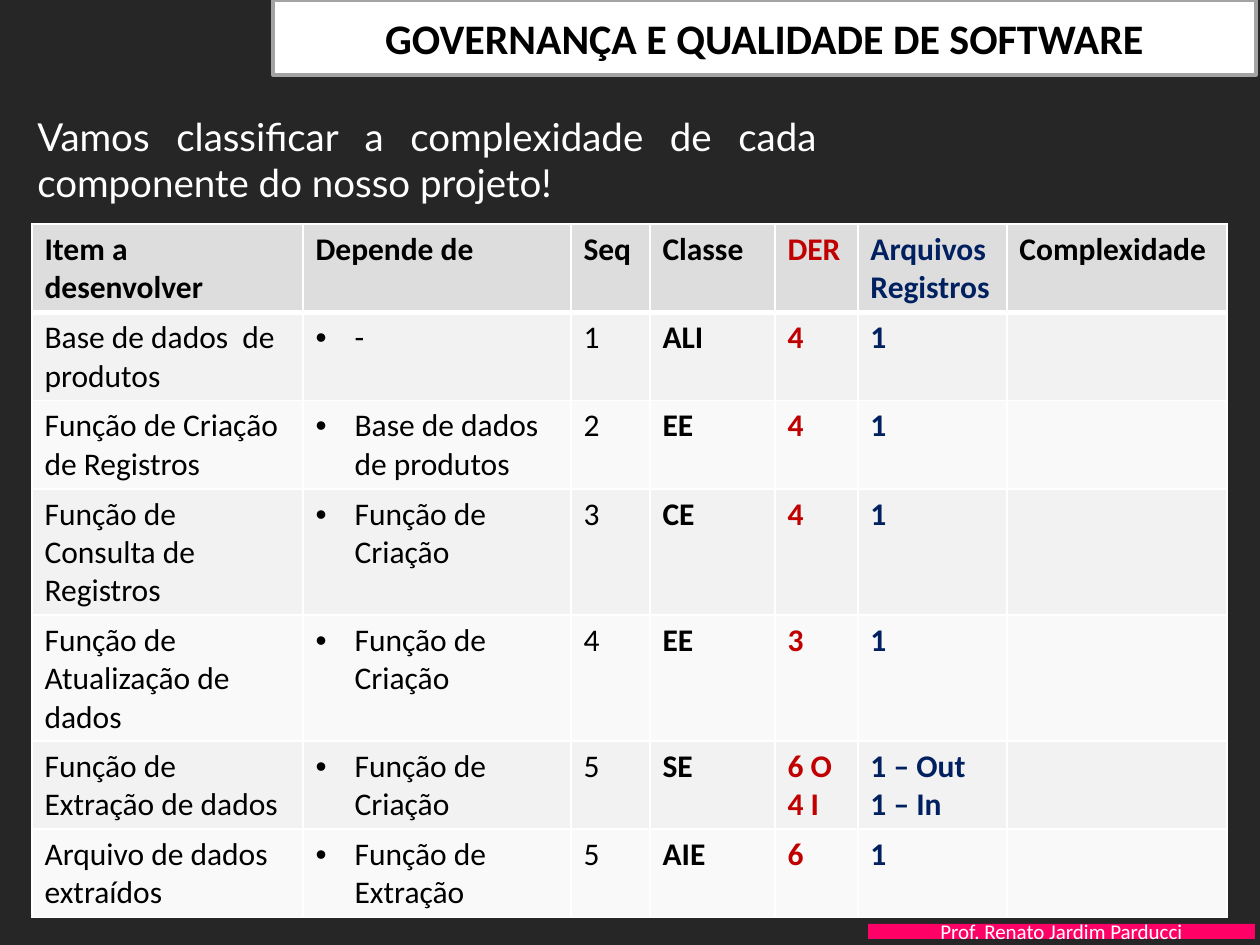
from lxml import etree
from pptx import Presentation
from pptx.dml.color import RGBColor
from pptx.enum.shapes import MSO_SHAPE
from pptx.enum.text import MSO_ANCHOR, PP_ALIGN
from pptx.oxml.ns import qn
from pptx.util import Pt

RECT = MSO_SHAPE.RECTANGLE
MIDDLE = MSO_ANCHOR.MIDDLE
LEFT, CENTER, JUSTIFY = PP_ALIGN.LEFT, PP_ALIGN.CENTER, PP_ALIGN.JUSTIFY

COLORS = {
    "bg": "262626", "white": "FFFFFF", "black": "000000", "gray": "A3A3A3",
    "pink": "FF0066", "red": "C00000", "navy": "002060",
    "header": "DDDDDD", "odd": "F2F2F2", "even": "F9F9F9",
}

COL_WIDTHS = [271, 268, 79, 125, 83, 149, 220]
ROW_HEIGHTS = [88, 88, 88, 126, 126, 88, 88]
COL_COLORS = ["black"] * 4 + ["red", "navy", "black"]
BOLD_COLS = {3, 4, 5}
BULLET_COL = 1
ROWS = [
    ["Item a desenvolver", "Depende de", "Seq", "Classe", "DER",
     "Arquivos\nRegistros", "Complexidade"],
    ["Base de dados  de produtos", "-", "1", "ALI", "4", "1", ""],
    ["Função de Criação de Registros", "Base de dados de produtos", "2", "EE", "4", "1", ""],
    ["Função de Consulta de Registros", "Função de Criação", "3", "CE", "4", "1", ""],
    ["Função de Atualização de dados", "Função de Criação", "4", "EE", "3", "1", ""],
    ["Função de Extração de dados", "Função de Criação", "5", "SE", "6 O\n4 I",
     "1 – Out\n1 – In", ""],
    ["Arquivo de dados extraídos", "Função de Extração", "5", "AIE", "6", "1", ""],
]


def px(n):
    return round(n * 914400 / 126)


def rgb(name):
    return RGBColor.from_string(COLORS[name])


def write(tf, text, size=18, color="black", bold=False, font="Calibri",
          align=LEFT, bullet=False):
    for i, line in enumerate(text.split("\n")):
        p = tf.add_paragraph() if i else tf.paragraphs[0]
        p.alignment = align
        if bullet:
            pPr = p._p.get_or_add_pPr()
            pPr.set("marL", str(px(39)))
            pPr.set("indent", str(-px(39)))
            etree.SubElement(pPr, qn("a:buFont"), typeface="Arial")
            etree.SubElement(pPr, qn("a:buChar"), char="•")
        r = p.add_run()
        r.text = line
        r.font.size = Pt(size)
        r.font.bold = bold
        r.font.name = font
        r.font.color.rgb = rgb(color)


def set_border(cell, side, width):
    ln = etree.SubElement(cell._tc.get_or_add_tcPr(), qn("a:ln" + side), w=str(Pt(width)))
    fill = etree.SubElement(ln, qn("a:solidFill"))
    etree.SubElement(fill, qn("a:srgbClr"), val=COLORS["white"])


class Deck:
    def __init__(self, prs):
        self.s = prs.slides.add_slide(prs.slide_layouts[6])
        self.s.background.fill.solid()
        self.s.background.fill.fore_color.rgb = rgb("bg")

    def box(self, x, y, w, h, text, fill, line=None, **fmt):
        sp = self.s.shapes.add_shape(RECT, px(x), px(y), px(w), px(h))
        sp.shadow.inherit = False
        sp.fill.solid()
        sp.fill.fore_color.rgb = rgb(fill)
        if line:
            sp.line.color.rgb = rgb(line)
            sp.line.width = Pt(2)
        else:
            sp.line.fill.background()
        sp.text_frame.vertical_anchor = MIDDLE
        write(sp.text_frame, text, align=CENTER, **fmt)

    def text(self, x, y, w, h, text, **fmt):
        tf = self.s.shapes.add_textbox(px(x), px(y), px(w), px(h)).text_frame
        tf.word_wrap = True
        tf.vertical_anchor = MIDDLE
        tf.margin_bottom = 0
        write(tf, text, **fmt)

    def table(self, x, y, rows, widths, heights):
        table = self.s.shapes.add_table(len(rows), len(widths), px(x), px(y),
                                        px(sum(widths)), px(sum(heights))).table
        for col, w in zip(table.columns, widths):
            col.width = px(w)
        for i, (row, h) in enumerate(zip(rows, heights)):
            table.rows[i].height = px(h)
            fill = "header" if i == 0 else "odd" if i % 2 else "even"
            for j, text in enumerate(row):
                cell = table.cell(i, j)
                for side in "LRTB":
                    under_header = (i, side) in ((0, "B"), (1, "T"))
                    set_border(cell, side, 3 if under_header else 1)
                cell.fill.solid()
                cell.fill.fore_color.rgb = rgb(fill)
                if text:
                    write(cell.text_frame, text, color=COL_COLORS[j],
                          bold=i == 0 or j in BOLD_COLS,
                          bullet=i > 0 and j == BULLET_COL)


def main():
    prs = Presentation()
    prs.slide_width, prs.slide_height = px(1260), px(945)
    deck = Deck(prs)

    # Title bar and footer
    deck.box(273, 0, 983, 75, "GOVERNANÇA E QUALIDADE DE SOFTWARE", "white",
             line="gray", size=24, bold=True)
    deck.box(868, 924, 387, 15, "Prof. Renato Jardim Parducci", "pink",
             size=12, color="white")

    # Introduction
    deck.text(25, 106, 804, 100,
              "Vamos classificar a complexidade de cada componente do nosso projeto!",
              size=22, color="white", font="Lato", align=JUSTIFY)

    # Complexity table
    deck.table(32, 224, ROWS, COL_WIDTHS, ROW_HEIGHTS)

    prs.save("out.pptx")


if __name__ == "__main__":
    main()
